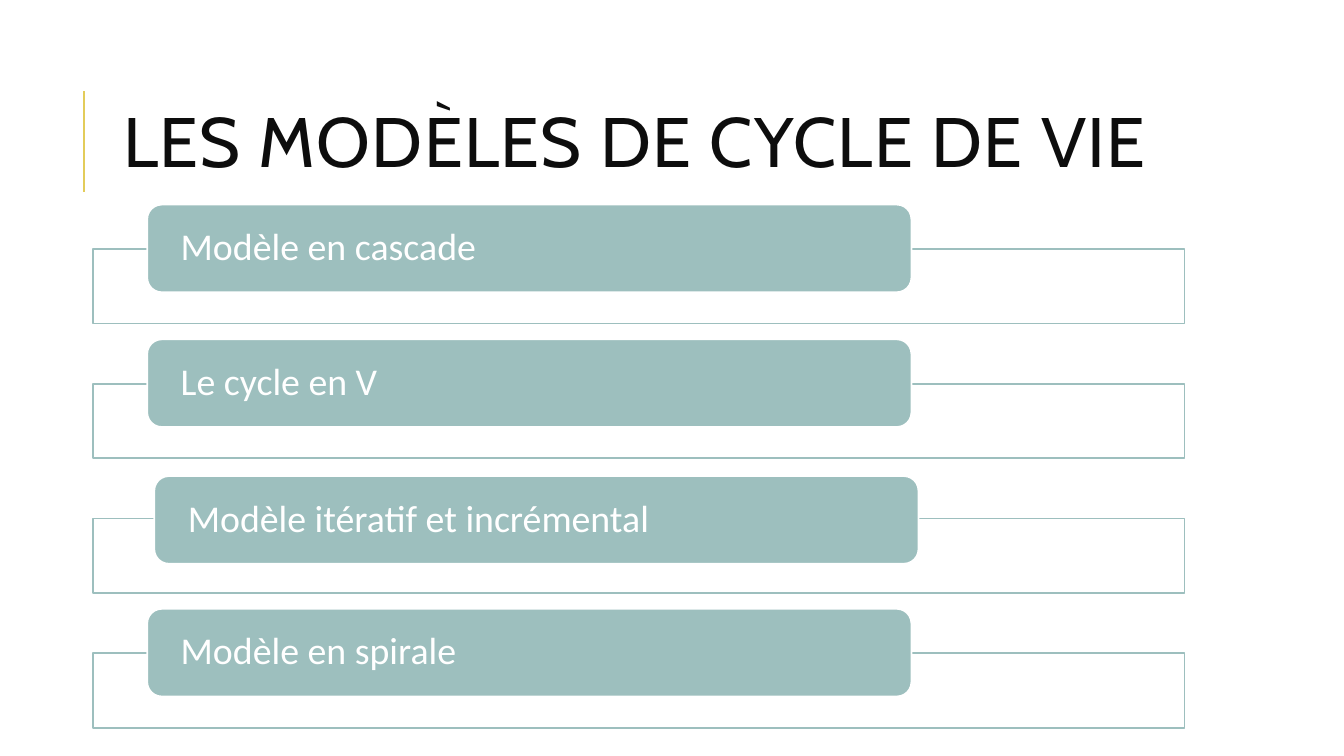
"""Build the slide that lists the software life cycle models."""
from lxml.etree import SubElement
from pptx import Presentation
from pptx.dml.color import RGBColor
from pptx.enum.shapes import MSO_CONNECTOR, MSO_SHAPE
from pptx.enum.text import MSO_ANCHOR, MSO_AUTO_SIZE, PP_ALIGN
from pptx.oxml.ns import qn
from pptx.util import Inches, Pt

TITLE = "LES MODÈLES DE CYCLE DE VIE"
MODELS = [
    ("Modèle en cascade", 0, 0),
    ("Le cycle en V", 0, 0),
    ("Modèle itératif et incrémental", 0.07, 0.02),
    ("Modèle en spirale", 0, 0),
]
COLORS = {"ink": "0D0D0D", "teal": "9DBFBE", "gold": "E3CC5A", "white": "FFFFFF"}

FRAME_LEFT, FRAME_WIDTH, FRAME_HEIGHT = 0.92, 10.83, 0.74
FIRST_TOP, LAST_TOP = 2.47, 6.48
LABEL_INDENT, LABEL_RISE = 0.54, 0.44
LABEL_WIDTH, LABEL_HEIGHT = 7.58, 0.87


def color(name):
    return RGBColor.from_string(COLORS[name])


def write(shape, text, *, font, size, ink, line_spacing, side, edge=0.0, after=0, tracking=0):
    frame = shape.text_frame
    frame.word_wrap = True
    frame.auto_size = MSO_AUTO_SIZE.NONE
    frame.vertical_anchor = MSO_ANCHOR.MIDDLE
    frame.margin_left = frame.margin_right = Inches(side)
    frame.margin_top = frame.margin_bottom = Inches(edge)
    para = frame.paragraphs[0]
    para.alignment = PP_ALIGN.LEFT
    para.line_spacing = line_spacing
    para.space_after = Pt(after)
    span = para.add_run()
    span.text = text
    span.font.name = font
    span.font.size = Pt(size)
    span.font.color.rgb = color(ink)
    if tracking:
        span.font._element.set("spc", str(tracking * 100))


def add_panel(page, kind, left, top, width, height, fill, outline):
    panel = page.shapes.add_shape(kind, Inches(left), Inches(top), Inches(width), Inches(height))
    panel.shadow.inherit = False
    panel.fill.solid()
    panel.fill.fore_color.rgb = color(fill)
    panel.line.color.rgb = color(outline)
    panel.line.width = Pt(1.25)
    return panel


def add_title(page):
    title = page.shapes.title
    title.left, title.top = Inches(1.12), Inches(0.64)
    title.width, title.height = Inches(10.63), Inches(1.64)
    write(title, TITLE, font="Cabin", size=50, ink="ink", line_spacing=0.8,
          side=0.1, edge=0.05, tracking=1)
    accent = page.shapes.add_connector(
        MSO_CONNECTOR.STRAIGHT, Inches(0.83), Inches(1.9), Inches(0.83), Inches(0.9))
    accent.line.color.rgb = color("gold")
    accent.line.width = Pt(1.5)
    SubElement(accent._element.spPr, qn("a:effectLst"))


def add_models(page):
    pitch = (LAST_TOP - FIRST_TOP) / (len(MODELS) - 1)
    for index, (name, shift_right, shift_down) in enumerate(MODELS):
        top = FIRST_TOP + index * pitch
        add_panel(page, MSO_SHAPE.RECTANGLE, FRAME_LEFT, top,
                  FRAME_WIDTH, FRAME_HEIGHT, "white", "teal")
        label = add_panel(page, MSO_SHAPE.ROUNDED_RECTANGLE,
                          FRAME_LEFT + LABEL_INDENT + shift_right,
                          top - LABEL_RISE + shift_down,
                          LABEL_WIDTH, LABEL_HEIGHT, "teal", "white")
        write(label, name, font="Calibri", size=27, ink="white", line_spacing=0.9,
              side=0.29, after=9.45)


def main():
    deck = Presentation()
    deck.slide_width, deck.slide_height = Inches(13.33), Inches(7.5)
    page = deck.slides.add_slide(deck.slide_layouts[5])
    add_title(page)
    add_models(page)
    deck.save("out.pptx")


if __name__ == "__main__":
    main()
